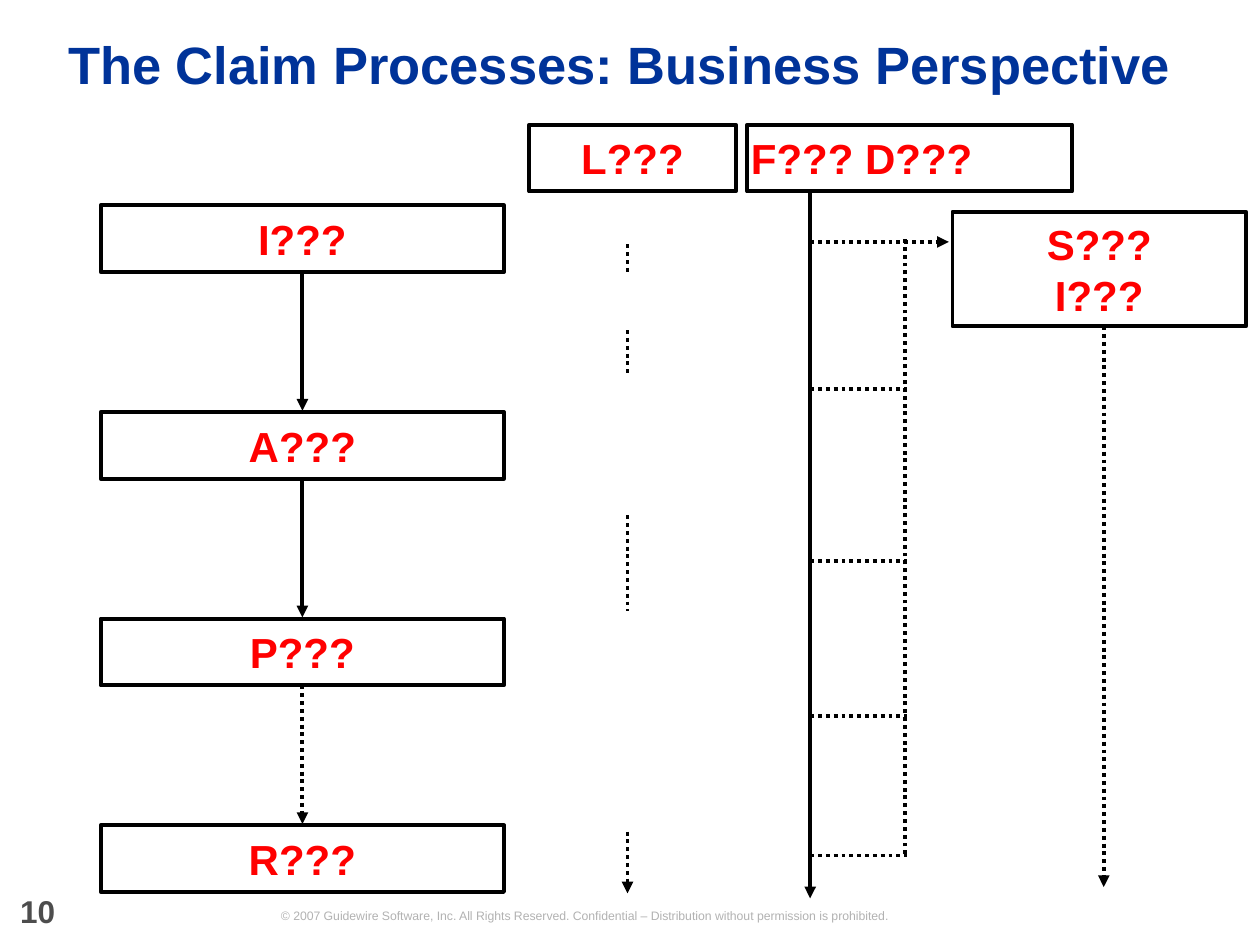
from dataclasses import dataclass

from lxml import etree
from pptx import Presentation
from pptx.dml.color import RGBColor as RGB
from pptx.enum.dml import MSO_LINE
from pptx.enum.shapes import MSO_CONNECTOR, MSO_SHAPE
from pptx.enum.text import MSO_ANCHOR as ANCHOR, MSO_AUTO_SIZE, PP_ALIGN as ALIGN
from pptx.oxml.ns import qn
from pptx.util import Inches, Pt


@dataclass(frozen=True)
class Theme:
    font: str = "Arial"
    title: RGB = RGB(0x00, 0x33, 0x99)
    label: RGB = RGB(0xFF, 0x00, 0x00)
    line: RGB = RGB(0x00, 0x00, 0x00)
    footer: RGB = RGB(0xB2, 0xB2, 0xB2)
    number: RGB = RGB(0x4D, 0x4D, 0x4D)
    title_size: int = 30
    label_size: int = 24
    number_size: int = 18
    footer_size: int = 7
    line_width: float = 2.25


THEME = Theme()
BOX_H = 0.53


def write(sp, text, *, size, color, bold=True, align=ALIGN.CENTER,
          anchor=ANCHOR.MIDDLE, left=0, spacing=None):
    """Put one paragraph in a shape; a newline becomes a line break."""
    tf = sp.text_frame
    tf.word_wrap = True
    tf.auto_size = MSO_AUTO_SIZE.NONE
    tf.vertical_anchor = anchor
    tf.margin_left = Inches(left)
    tf.margin_top = tf.margin_right = tf.margin_bottom = 0
    p = tf.paragraphs[0]
    p.alignment = align
    if spacing:
        p.line_spacing = spacing
    for i, line in enumerate(text.split("\n")):
        if i:
            p.add_line_break()
        r = p.add_run()
        r.text = line
        r.font.name = THEME.font
        r.font.size = Pt(size)
        r.font.bold = bold
        r.font.color.rgb = color


def add_box(slide, text, x, y, w, h=BOX_H, **fmt):
    sp = slide.shapes.add_shape(MSO_SHAPE.RECTANGLE, *map(Inches, (x, y, w, h)))
    sp.shadow.inherit = False
    sp.fill.background()
    sp.line.color.rgb = THEME.line
    sp.line.width = Pt(THEME.line_width)
    write(sp, text, size=THEME.label_size, color=THEME.label, **fmt)


def add_line(slide, x1, y1, x2, y2, dotted=True, arrow=False):
    cx = slide.shapes.add_connector(MSO_CONNECTOR.STRAIGHT,
                                    *map(Inches, (x1, y1, x2, y2)))
    cx.line.color.rgb = THEME.line
    cx.line.width = Pt(THEME.line_width)
    if dotted:
        cx.line.dash_style = MSO_LINE.ROUND_DOT
    if arrow:
        etree.SubElement(cx.line._get_or_add_ln(), qn("a:tailEnd"), type="triangle")
    etree.SubElement(cx._element.spPr, qn("a:effectLst"))


def add_title(slide, text, x, y, w, h):
    sp = slide.shapes.title
    sp.left, sp.top, sp.width, sp.height = map(Inches, (x, y, w, h))
    write(sp, text, size=THEME.title_size, color=THEME.title,
          align=ALIGN.LEFT, spacing=0.9)


def add_main_process(slide, x, y, w, labels, step=1.64):
    """Stack the main steps; the arrow into the last one is dotted."""
    mid = x + w / 2
    for i, label in enumerate(labels):
        top = y + i * step
        add_box(slide, label, x, top, w)
        if i:
            add_line(slide, mid, top - step + BOX_H, mid, top - 0.01,
                     dotted=i == len(labels) - 1, arrow=True)


def add_intermittent_process(slide, label, x, y, w):
    add_box(slide, label, x, y, w)
    mid = x + 0.78
    spans = [(0.95, 1.17), (1.63, 1.99), (3.1, 3.86), (5.61, 6.1)]
    for start, end in spans:
        add_line(slide, mid, y + start, mid, y + end, arrow=end == spans[-1][1])


def add_continuous_process(slide, label, x, y, w):
    """Draw a solid timeline whose dotted branches join and lead right."""
    add_box(slide, label, x, y, w, align=ALIGN.LEFT, left=0.03)
    stem, join = x + 0.5, x + 1.25
    add_line(slide, stem, y + BOX_H, stem, y + 6.14, dotted=False, arrow=True)
    add_line(slide, stem, y + 0.93, x + 1.6, y + 0.93, arrow=True)
    for branch in (2.1, 3.46, 4.69, 5.8):
        add_line(slide, stem, y + branch, join + 0.02, y + branch)
    add_line(slide, join, y + 5.79, join, y + 0.91)


def add_side_process(slide, label, x, y, w, h):
    add_box(slide, label, x, y, w, h)
    add_line(slide, x + 1.2, y + h, x + 1.2, y + 5.36, arrow=True)


def add_footer(slide, text, number):
    sp = slide.shapes.add_textbox(*map(Inches, (1.19, 7.21, 6.9, 0.12)))
    write(sp, text, size=THEME.footer_size, color=THEME.footer, bold=False)
    sp = slide.shapes.add_textbox(*map(Inches, (0.16, 7.13, 0.57, 0.25)))
    write(sp, number, size=THEME.number_size, color=THEME.number,
          align=ALIGN.LEFT, anchor=ANCHOR.TOP, spacing=Pt(18))


def main():
    prs = Presentation()
    prs.slide_width, prs.slide_height = Inches(10), Inches(7.5)
    s = prs.slides.add_slide(prs.slide_layouts[5])
    add_title(s, "The Claim Processes: Business Perspective", 0.54, 0.13, 9.1, 0.81)
    add_main_process(s, 0.8, 1.63, 3.2, ["I???", "A???", "P???", "R???"])
    add_intermittent_process(s, "L???", 4.2, 0.99, 1.64)
    add_continuous_process(s, "F??? D???", 5.93, 0.99, 2.58)
    add_side_process(s, "S???\nI???", 7.56, 1.68, 2.33, 0.91)
    add_footer(s, "© 2007 Guidewire Software, Inc. All Rights Reserved. Confidential – "
                  "Distribution without permission is prohibited.", "10")
    prs.save("out.pptx")


if __name__ == "__main__":
    main()
